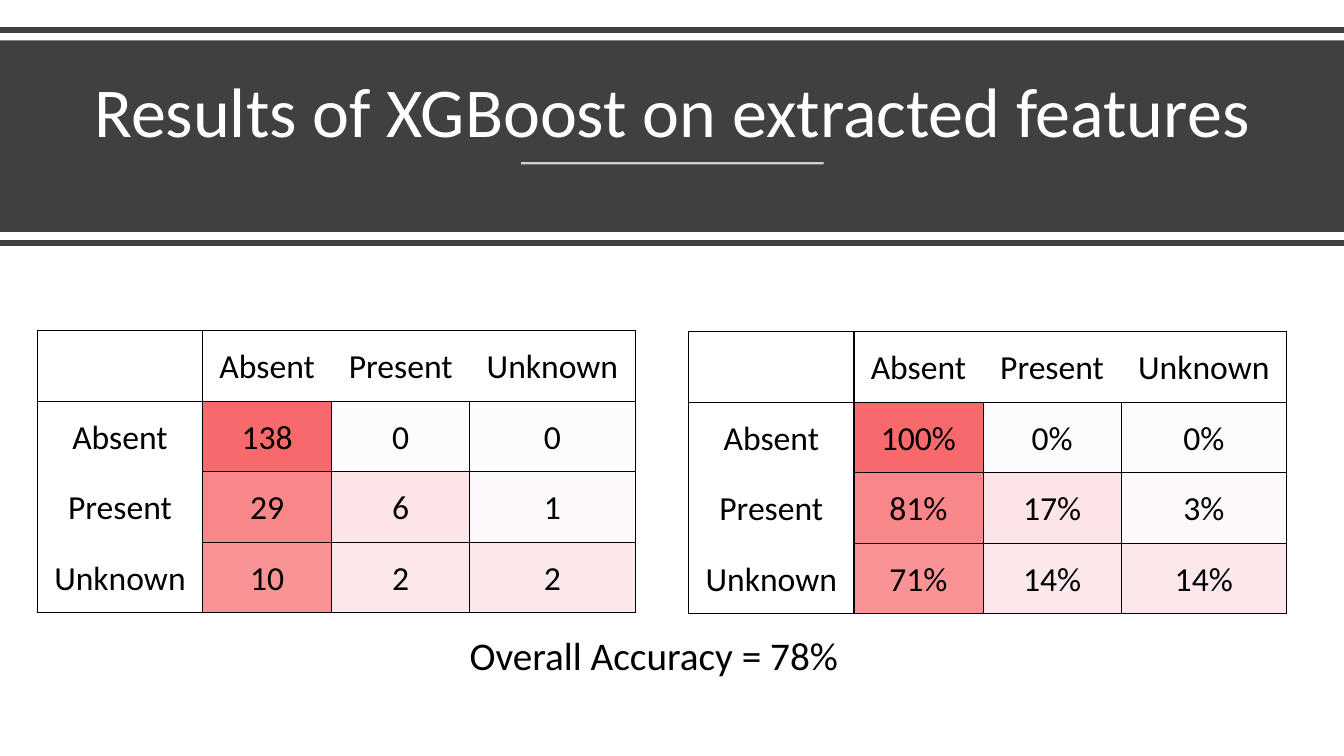
from dataclasses import dataclass

from lxml import etree
from pptx import Presentation
from pptx.dml.color import RGBColor
from pptx.enum.shapes import MSO_CONNECTOR, MSO_SHAPE
from pptx.enum.text import MSO_ANCHOR, MSO_AUTO_SIZE, PP_ALIGN
from pptx.oxml.ns import qn
from pptx.shapes.connector import Connector
from pptx.slide import Slide
from pptx.table import _Cell
from pptx.text.text import _Paragraph
from pptx.util import Inches, Pt

STRAIGHT = MSO_CONNECTOR.STRAIGHT
RECTANGLE = MSO_SHAPE.RECTANGLE
MIDDLE = MSO_ANCHOR.MIDDLE
BOTTOM = MSO_ANCHOR.BOTTOM
NO_AUTOFIT = MSO_AUTO_SIZE.NONE
FIT_SHAPE = MSO_AUTO_SIZE.SHAPE_TO_FIT_TEXT
CENTER = PP_ALIGN.CENTER

FONT = "Calibri"
SLIDE_WIDTH = 13.33
COLORS = {"band": "404040", "light": "FFFFFF", "text": "000000"}
CLASSES = ("Absent", "Present", "Unknown")
COLUMN_WIDTHS = (1.64, 1.28, 1.37, 1.64)
ROW_HEIGHT = 0.7
HEAT_FILLS = (
    ("F8696B", "FCFCFF", "FCFCFF"),
    ("F98688", "FCE4E7", "FCF8FB"),
    ("FA9396", "FCE7EA", "FCE7EA"),
)


@dataclass(frozen=True)
class Rule:
    """A horizontal line on the title band."""
    left: float
    right: float
    top: float
    color: str
    width: float
    opacity: int = 100


@dataclass(frozen=True)
class ConfusionMatrix:
    """The place and values of one confusion matrix."""
    left: float
    top: float
    values: tuple[tuple[str, ...], ...]


RULES = (
    Rule(0, SLIDE_WIDTH, 0.3, "band", 4),
    Rule(5.17, 8.17, 1.62, "light", 1.5, 75),
    Rule(0, SLIDE_WIDTH, 2.41, "band", 4),
)
MATRICES = (
    ConfusionMatrix(6.83, 3.29, (
        ("100%", "0%", "0%"), ("81%", "17%", "3%"), ("71%", "14%", "14%"))),
    ConfusionMatrix(0.37, 3.28, (
        ("138", "0", "0"), ("29", "6", "1"), ("10", "2", "2"))),
)


def rgb(name: str) -> RGBColor:
    """Look up a named colour."""
    return RGBColor.from_string(COLORS[name])


def set_font(paragraph: _Paragraph, size: float, color: str) -> None:
    """Set the font of a paragraph."""
    paragraph.font.name = FONT
    paragraph.font.size = Pt(size)
    paragraph.font.color.rgb = rgb(color)


def add_rule(slide: Slide, rule: Rule) -> Connector:
    """Draw a horizontal line without a shadow."""
    connector = slide.shapes.add_connector(
        STRAIGHT, Inches(rule.left), Inches(rule.top), Inches(rule.right), Inches(rule.top))
    connector.line.color.rgb = rgb(rule.color)
    connector.line.width = Pt(rule.width)
    properties = connector.element.spPr
    if rule.opacity < 100:
        color = properties.find(".//" + qn("a:srgbClr"))
        etree.SubElement(color, qn("a:alpha"), val=str(rule.opacity * 1000))
    etree.SubElement(properties, qn("a:effectLst"))
    return connector


def add_title_band(slide: Slide) -> None:
    """Draw the dark band with its rules behind the title."""
    band = slide.shapes.add_shape(
        RECTANGLE, 0, Inches(0.4), Inches(SLIDE_WIDTH), Inches(1.9))
    band.shadow.inherit = False
    band.fill.solid()
    band.fill.fore_color.rgb = rgb("band")
    band.line.fill.background()
    title = slide.shapes.title
    title.element.addprevious(band.element)
    for rule in RULES:
        add_rule(slide, rule)
    title.left, title.top = Inches(0.58), Inches(0.54)
    title.width, title.height = Inches(12.18), Inches(1.02)
    frame = title.text_frame
    frame.text = "Results of XGBoost on extracted features"
    frame.auto_size = NO_AUTOFIT
    frame.word_wrap = True
    frame.vertical_anchor = BOTTOM
    paragraph = frame.paragraphs[0]
    paragraph.alignment = CENTER
    paragraph.line_spacing = 0.9
    set_font(paragraph, 50, "light")


def border_width(boundary: int, position: int) -> float:
    """Give outer and header edges 1 pt, value edges 0.5 pt, and others none."""
    if boundary in (0, 1, len(COLUMN_WIDTHS)):
        return 1
    return 0.5 if position else 0


def set_borders(cell: _Cell, row: int, column: int) -> None:
    """Draw the four borders of a cell."""
    widths = {
        "a:lnL": border_width(column, row),
        "a:lnR": border_width(column + 1, row),
        "a:lnT": border_width(row, column),
        "a:lnB": border_width(row + 1, column),
    }
    properties = cell._tc.get_or_add_tcPr()
    for tag, width in widths.items():
        border = etree.SubElement(properties, qn(tag), w=str(Pt(width)))
        if width:
            fill = etree.SubElement(border, qn("a:solidFill"))
            etree.SubElement(fill, qn("a:srgbClr"), val=COLORS["text"])
        else:
            etree.SubElement(border, qn("a:noFill"))


def add_matrix(slide: Slide, matrix: ConfusionMatrix) -> None:
    """Draw a confusion matrix as a heat-coloured table."""
    rows = [("", *CLASSES)]
    rows += [(name, *values) for name, values in zip(CLASSES, matrix.values)]
    table = slide.shapes.add_table(
        len(rows), len(COLUMN_WIDTHS), Inches(matrix.left), Inches(matrix.top),
        Inches(sum(COLUMN_WIDTHS)), Inches(ROW_HEIGHT * len(rows))).table
    table.first_row = False
    table.horz_banding = False
    for column, width in zip(table.columns, COLUMN_WIDTHS):
        column.width = Inches(width)
    for row_index, texts in enumerate(rows):
        table.rows[row_index].height = Inches(ROW_HEIGHT)
        for column_index, text in enumerate(texts):
            cell = table.cell(row_index, column_index)
            cell.text = text
            cell.vertical_anchor = MIDDLE
            cell.margin_left = cell.margin_right = Inches(0.02)
            cell.margin_top, cell.margin_bottom = Inches(0.03), 0
            paragraph = cell.text_frame.paragraphs[0]
            paragraph.alignment = CENTER
            set_font(paragraph, 24, "text")
            set_borders(cell, row_index, column_index)
            if row_index and column_index:
                cell.fill.solid()
                heat = HEAT_FILLS[row_index - 1][column_index - 1]
                cell.fill.fore_color.rgb = RGBColor.from_string(heat)
            else:
                cell.fill.background()


def add_accuracy(slide: Slide) -> None:
    """Write the overall accuracy under the tables."""
    box = slide.shapes.add_textbox(Inches(4.56), Inches(6.21), Inches(4.83), Inches(0.57))
    frame = box.text_frame
    frame.word_wrap = True
    frame.auto_size = FIT_SHAPE
    frame.text = "Overall Accuracy = 78%"
    set_font(frame.paragraphs[0], 28, "text")


def main() -> None:
    """Build and save the slide."""
    presentation = Presentation()
    presentation.slide_width = Inches(SLIDE_WIDTH)
    presentation.slide_height = Inches(7.5)
    slide = presentation.slides.add_slide(presentation.slide_layouts[5])
    add_title_band(slide)
    for matrix in MATRICES:
        add_matrix(slide, matrix)
    add_accuracy(slide)
    presentation.save("out.pptx")


if __name__ == "__main__":
    main()
